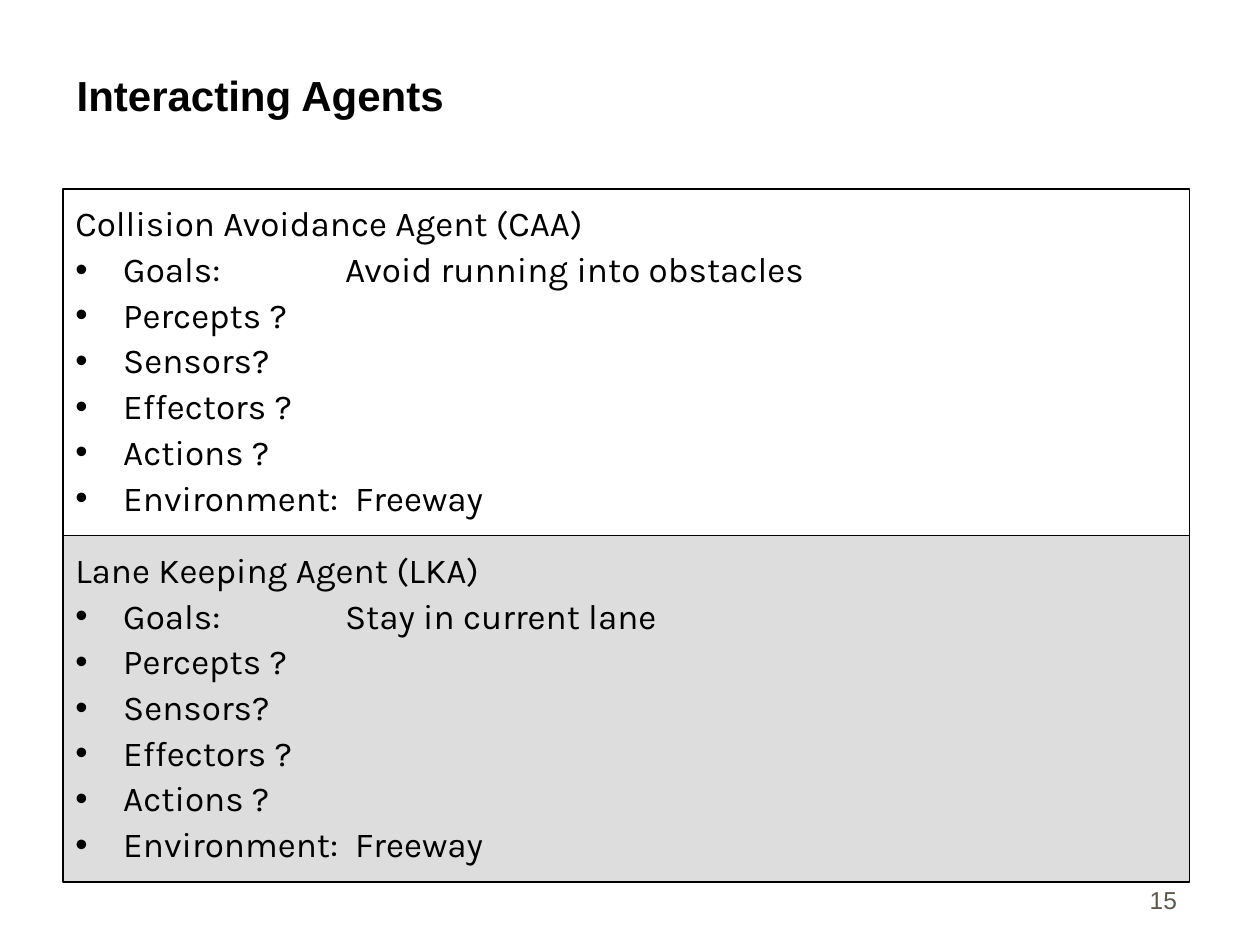
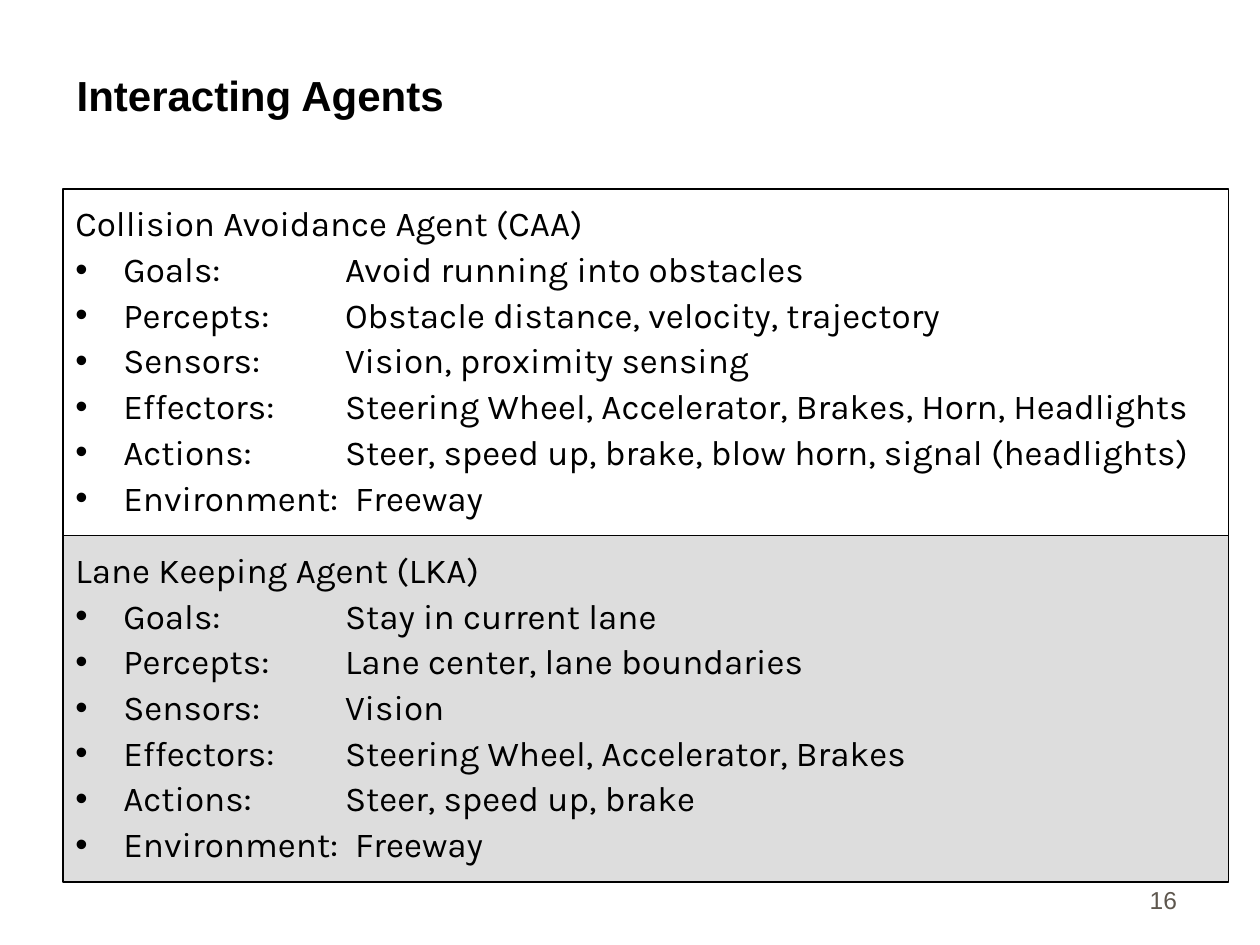
from lxml import etree
from pptx import Presentation
from pptx.dml.color import RGBColor
from pptx.enum.shapes import MSO_SHAPE
from pptx.enum.text import MSO_ANCHOR, PP_ALIGN
from pptx.oxml.ns import qn
from pptx.util import Inches, Pt

RECT = MSO_SHAPE.RECTANGLE
TOP, BOTTOM = MSO_ANCHOR.TOP, MSO_ANCHOR.BOTTOM
LEFT, RIGHT = PP_ALIGN.LEFT, PP_ALIGN.RIGHT

TITLE = "Interacting Agents"
CAA = "Collision Avoidance Agent (CAA)"
LKA = "Lane Keeping Agent (LKA)"
OPEN = ["Percepts ?", "Sensors?", "Effectors ?", "Actions ?"]
PLACE = "Environment:\tFreeway"
AVOID = "Goals:\tAvoid running into obstacles"
STAY = "Goals:\tStay in current lane"

SLIDES = [
    {"page": 15, "width": 8.94, "agents": [
        (CAA, [AVOID, *OPEN, PLACE]),
        (LKA, [STAY, *OPEN, PLACE]),
    ]},
    {"page": 16, "width": 9.25, "agents": [
        (CAA, [
            AVOID,
            "Percepts:\tObstacle distance, velocity, trajectory",
            "Sensors:\tVision, proximity sensing",
            "Effectors:\tSteering Wheel, Accelerator, Brakes, Horn, Headlights",
            "Actions:\tSteer, speed up, brake, blow horn, signal (headlights)",
            PLACE,
        ]),
        (LKA, [
            STAY,
            "Percepts:\tLane center, lane boundaries",
            "Sensors:\tVision",
            "Effectors:\tSteering Wheel, Accelerator, Brakes",
            "Actions:\tSteer, speed up, brake",
            PLACE,
        ]),
    ]},
]

COLORS = {"ink": "000000", "page": "5E574E", "gray": "DDDDDD"}
FILLS = [None, "gray"]
BOX_X, BOX_Y, BOX_H = 0.5, 1.5, 2.75
HANG = 0.38
TAB, WIDE_TAB = 2.14, 2.22


def color(name):
    return RGBColor.from_string(COLORS[name])


def write(frame, lines, font="Arial", size=24, ink="ink", bold=False,
          align=LEFT, anchor=BOTTOM, inset=0.05, space=None, before=0):
    frame.word_wrap = True
    frame.vertical_anchor = anchor
    frame.margin_top = Inches(inset)
    for i, line in enumerate(lines):
        para = frame.paragraphs[0] if i == 0 else frame.add_paragraph()
        para.alignment = align
        para.line_spacing = space
        para.space_before = Pt(before)
        run = para.add_run()
        run.text = line
        run.font.name = font
        run.font.size = Pt(size)
        run.font.bold = bold
        run.font.color.rgb = color(ink)


def add_bullet(para):
    props = para._p.get_or_add_pPr()
    props.set("marL", str(Inches(HANG)))
    props.set("indent", str(-Inches(HANG)))
    tint = etree.SubElement(props, qn("a:buClr"))
    etree.SubElement(tint, qn("a:srgbClr"), val=COLORS["ink"])
    etree.SubElement(props, qn("a:buFont"), typeface="Arial")
    etree.SubElement(props, qn("a:buChar"), char="•")
    if "\t" in para.text:
        stop = WIDE_TAB if para.text == PLACE else TAB
        tabs = etree.SubElement(props, qn("a:tabLst"))
        etree.SubElement(tabs, qn("a:tab"), pos=str(Inches(stop)), algn="l")


def add_label(slide, text, x, y, w, h, **style):
    box = slide.shapes.add_textbox(Inches(x), Inches(y), Inches(w), Inches(h))
    write(box.text_frame, [text], **style)


def add_agent(slide, row, width, name, facts):
    box = slide.shapes.add_shape(
        RECT, Inches(BOX_X), Inches(BOX_Y + row * BOX_H),
        Inches(width), Inches(BOX_H))
    box.shadow.inherit = False
    if FILLS[row]:
        box.fill.solid()
        box.fill.fore_color.rgb = color(FILLS[row])
    else:
        box.fill.background()
    box.line.color.rgb = color("ink")
    box.line.width = Pt(0.75)
    write(box.text_frame, [name, *facts], font="Karla", size=20,
          anchor=TOP, inset=0.14, space=0.9, before=4.5)
    for para in box.text_frame.paragraphs[1:]:
        add_bullet(para)


def main():
    deck = Presentation()
    deck.slide_width, deck.slide_height = Inches(10), Inches(7.5)
    for data in SLIDES:
        slide = deck.slides.add_slide(deck.slide_layouts[6])
        add_label(slide, TITLE, 0.51, 0.25, 8.92, 0.75, bold=True)
        for row, (name, facts) in enumerate(data["agents"]):
            add_agent(slide, row, data["width"], name, facts)
        add_label(slide, str(data["page"]), 7.36, 6.81, 2.08, 0.5,
                  size=14, ink="page", align=RIGHT)
    deck.save("out.pptx")


if __name__ == "__main__":
    main()
